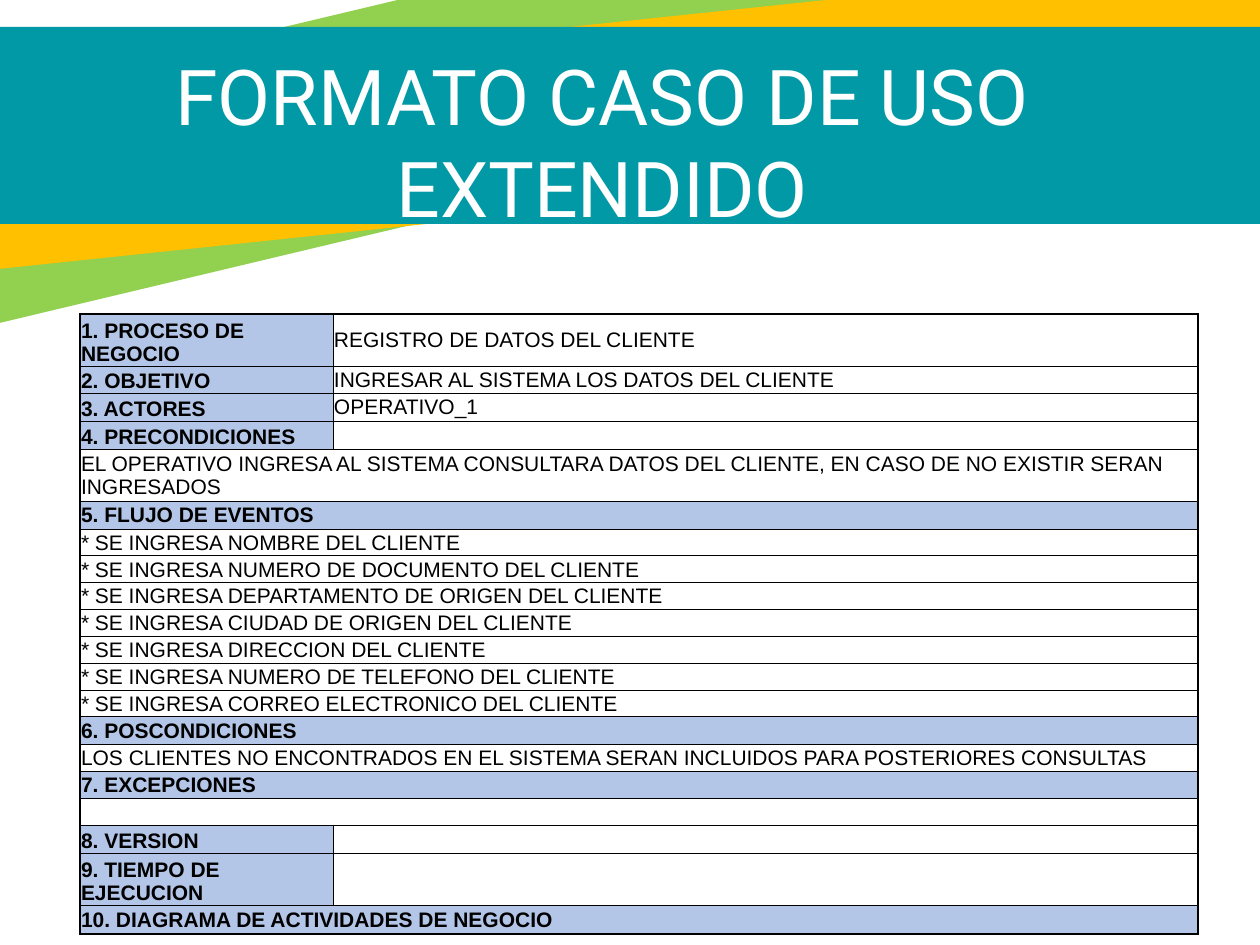
from lxml.etree import SubElement
from pptx import Presentation
from pptx.dml.color import RGBColor
from pptx.enum.shapes import MSO_SHAPE
from pptx.enum.text import MSO_ANCHOR, PP_ALIGN
from pptx.oxml.ns import qn
from pptx.util import Pt

PX = 914400 / 126

THEME = {
    "green": "92D050", "amber": "FFC000", "teal": "0099A5",
    "label": "B4C6E7", "ink": "000000", "white": "FFFFFF",
    "title_font": "Roboto", "title_size": 44,
    "body_font": "Arial", "body_size": 12,
    "frame_line": 1, "grid_line": 0.5,
}


def px(value):
    return round(value * PX)


def write(frame, text, *, font, size, color, bold=False, align=PP_ALIGN.LEFT):
    paragraph = frame.paragraphs[0]
    paragraph.alignment = align
    if not text:
        # An empty cell still needs its type size, or the row would grow
        SubElement(paragraph._p, qn("a:endParaRPr"), sz=str(size * 100))
        return
    run = paragraph.add_run()
    run.text = text
    run.font.name = font
    run.font.size = Pt(size)
    run.font.bold = bold
    run.font.color.rgb = RGBColor.from_string(color)


prs = Presentation()
prs.slide_width, prs.slide_height = px(1260), px(945)
slide = prs.slides.add_slide(prs.slide_layouts[6])

# Header bands, from back to front
bands = [
    (-316, -23, 1646, 222, 346.6, "green"),
    (-139, 25, 1465, 181, 354, "amber"),
    (-134, 27, 1465, 197, 0, "teal"),
]
for left, top, width, height, angle, color in bands:
    band = slide.shapes.add_shape(
        MSO_SHAPE.RECTANGLE, px(left), px(top), px(width), px(height))
    band.rotation = angle
    band.shadow.inherit = False
    band.fill.solid()
    band.fill.fore_color.rgb = RGBColor.from_string(THEME[color])
    band.line.fill.background()

# Title
title = slide.shapes.add_textbox(px(-20), px(40), px(1245), px(202)).text_frame
title.word_wrap = True
title.vertical_anchor = MSO_ANCHOR.MIDDLE
write(title, "FORMATO CASO DE USO EXTENDIDO", font=THEME["title_font"],
      size=THEME["title_size"], color=THEME["white"], align=PP_ALIGN.CENTER)

# Use case form: row height, then one text for a full-width row or a label and its value
form_rows = [
    (52, "1. PROCESO DE NEGOCIO", "REGISTRO DE DATOS DEL CLIENTE"),
    (27, "2. OBJETIVO", "INGRESAR AL SISTEMA LOS DATOS DEL CLIENTE"),
    (28, "3. ACTORES", "OPERATIVO_1"),
    (28, "4. PRECONDICIONES", ""),
    (52, "EL OPERATIVO INGRESA AL SISTEMA CONSULTARA DATOS DEL CLIENTE, "
         "EN CASO DE NO EXISTIR SERAN INGRESADOS"),
    (28, "5. FLUJO DE EVENTOS"),
    (27, "* SE INGRESA NOMBRE DEL CLIENTE"),
    (27, "* SE INGRESA NUMERO DE DOCUMENTO DEL CLIENTE"),
    (26, "* SE INGRESA DEPARTAMENTO DE ORIGEN DEL CLIENTE"),
    (27, "* SE INGRESA CIUDAD DE ORIGEN DEL CLIENTE"),
    (27, "* SE INGRESA DIRECCION DEL CLIENTE"),
    (27, "* SE INGRESA NUMERO DE TELEFONO DEL CLIENTE"),
    (26, "* SE INGRESA CORREO ELECTRONICO DEL CLIENTE"),
    (28, "6. POSCONDICIONES"),
    (27, "LOS CLIENTES NO ENCONTRADOS EN EL SISTEMA SERAN INCLUIDOS "
         "PARA POSTERIORES CONSULTAS"),
    (27, "7. EXCEPCIONES"),
    (27, ""),
    (28, "8. VERSION", ""),
    (52, "9. TIEMPO DE EJECUCION", ""),
    (29, "10. DIAGRAMA DE ACTIVIDADES DE NEGOCIO"),
]
column_widths = [253, 865]
last_row = len(form_rows) - 1

form = slide.shapes.add_table(
    len(form_rows), 2, px(80), px(314), px(sum(column_widths)),
    px(sum(row[0] for row in form_rows))).table
form.first_row = form.horz_banding = False
for column, width in zip(form.columns, column_widths):
    column.width = px(width)

for r, (height, *texts) in enumerate(form_rows):
    form.rows[r].height = px(height)
    full_width = len(texts) == 1
    if full_width:
        form.cell(r, 0).merge(form.cell(r, 1))

    for c in range(2):
        cell = form.cell(r, c)
        cell.margin_left = cell.margin_right = cell.margin_top = px(1)
        cell.margin_bottom = 0

        # Heavier lines on the outer frame
        on_frame = {"lnL": c == 0 or full_width, "lnR": c == 1 or full_width,
                    "lnT": r == 0, "lnB": r == last_row}
        for side, outer in on_frame.items():
            weight = THEME["frame_line" if outer else "grid_line"]
            line = SubElement(cell._tc.get_or_add_tcPr(), qn(f"a:{side}"),
                              w=str(Pt(weight)))
            SubElement(SubElement(line, qn("a:solidFill")),
                       qn("a:srgbClr"), val=THEME["ink"])

        # Numbered headings are bold on a blue fill
        text = texts[c] if c < len(texts) else ""
        is_heading = text[:1].isdigit()
        if is_heading:
            cell.fill.solid()
            cell.fill.fore_color.rgb = RGBColor.from_string(THEME["label"])
        else:
            cell.fill.background()
        is_label = is_heading and not full_width
        cell.vertical_anchor = MSO_ANCHOR.BOTTOM if is_label else MSO_ANCHOR.MIDDLE
        write(cell.text_frame, text, font=THEME["body_font"],
              size=THEME["body_size"], color=THEME["ink"], bold=is_heading)

prs.save("out.pptx")
